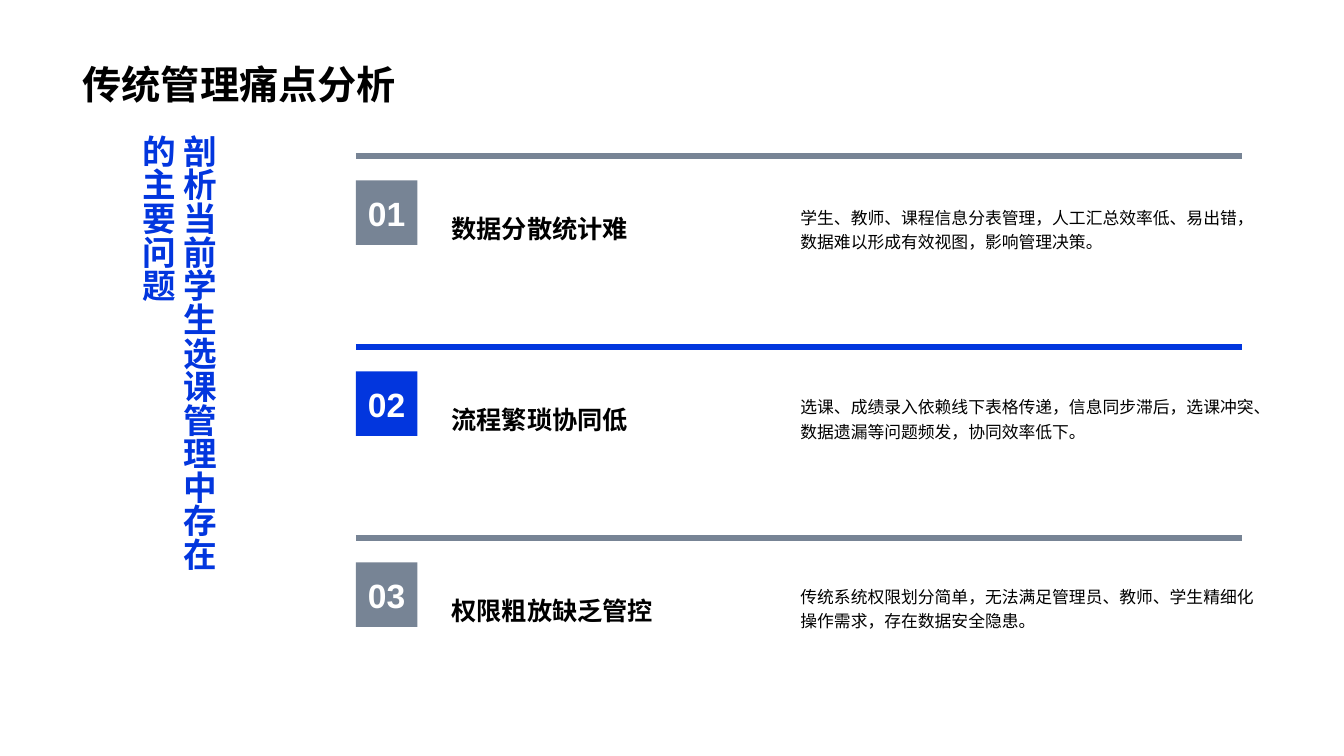
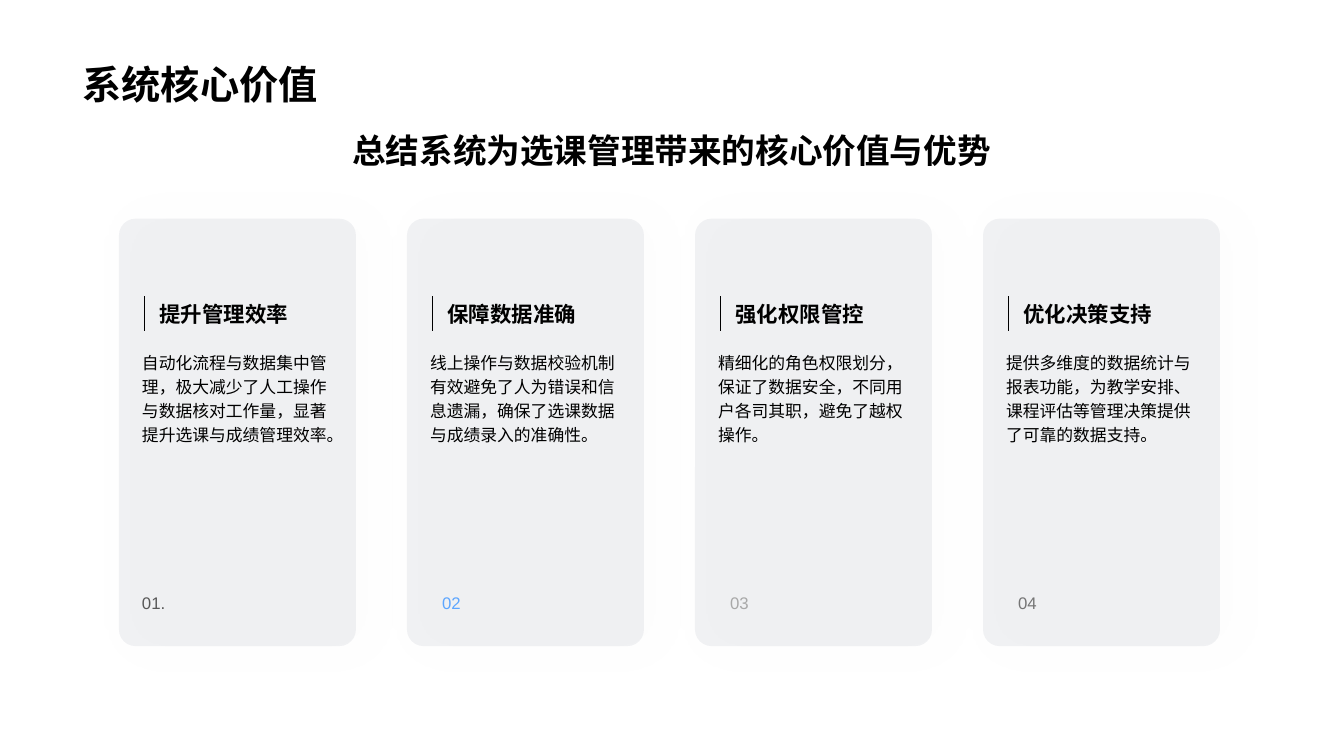
"""Build two slides on course-selection management: pain points and core value."""
from dataclasses import dataclass

import pptx
import pptx.dml.color
import pptx.enum.lang
import pptx.enum.shapes
import pptx.enum.text
import pptx.oxml
import pptx.oxml.ns
import pptx.util
from lxml import etree

Inches = pptx.util.Inches
Align = pptx.enum.text.PP_ALIGN
Anchor = pptx.enum.text.MSO_ANCHOR
Shapes = pptx.enum.shapes.MSO_SHAPE
qn = pptx.oxml.ns.qn


@dataclass(frozen=True)
class Theme:
    """Colours, font and type sizes shared by the slides."""
    font: str = "Arial"
    black: str = "000000"
    white: str = "FFFFFF"
    grey: str = "778495"
    blue: str = "0236DE"
    shadow: str = "A6A6A6"
    title: float = 28
    heading: float = 24
    item: float = 18
    card_title: float = 15.3
    body: float = 12
    body_spacing: float = 1.2
    rule: float = 4.5
    hairline: float = 0.75


THEME = Theme()

PAIN_TITLE = "传统管理痛点分析"
PAIN_SUBTITLE = "剖析当前学生选课管理中存在的主要问题"
PAIN_POINTS = [
    ("01", "数据分散统计难", THEME.grey,
     "学生、教师、课程信息分表管理，人工汇总效率低、易出错，数据难以形成有效视图，影响管理决策。"),
    ("02", "流程繁琐协同低", THEME.blue,
     "选课、成绩录入依赖线下表格传递，信息同步滞后，选课冲突、数据遗漏等问题频发，协同效率低下。"),
    ("03", "权限粗放缺乏管控", THEME.grey,
     "传统系统权限划分简单，无法满足管理员、教师、学生精细化操作需求，存在数据安全隐患。"),
]

VALUE_TITLE = "系统核心价值"
VALUE_SUBTITLE = "总结系统为选课管理带来的核心价值与优势"
VALUES = [
    ("01.", "585858", 0.13, "提升管理效率",
     "自动化流程与数据集中管理，极大减少了人工操作与数据核对工作量，显著提升选课与成绩管理效率。"),
    ("02", "5DA6FF", 0.25, "保障数据准确",
     "线上操作与数据校验机制有效避免了人为错误和信息遗漏，确保了选课数据与成绩录入的准确性。"),
    ("03", "A8A8A8", 0.25, "强化权限管控",
     "精细化的角色权限划分，保证了数据安全，不同用户各司其职，避免了越权操作。"),
    ("04", "757575", 0.25, "优化决策支持",
     "提供多维度的数据统计与报表功能，为教学安排、课程评估等管理决策提供了可靠的数据支持。"),
]


def rgb(color):
    """Turn a hex string into a colour."""
    return pptx.dml.color.RGBColor.from_string(color)


def spread(first, last, count):
    """Return evenly spaced positions from first to last."""
    return [first + (last - first) * index / (count - 1) for index in range(count)]


def write(shape, text, size, color=THEME.black, bold=False, align=Align.LEFT,
          anchor=Anchor.TOP, spacing=1.0):
    """Put one formatted paragraph into a shape."""
    frame = shape.text_frame
    frame.text = text
    frame.word_wrap = True
    frame.auto_size = pptx.enum.text.MSO_AUTO_SIZE.NONE
    frame.vertical_anchor = anchor
    paragraph = frame.paragraphs[0]
    paragraph.alignment = align
    paragraph.line_spacing = spacing
    for run in paragraph.runs:
        font = run.font
        font.size = pptx.util.Pt(size)
        font.bold = bold
        font.color.rgb = rgb(color)
        font.name = THEME.font
        font.language_id = pptx.enum.lang.MSO_LANGUAGE_ID.SIMPLIFIED_CHINESE
        etree.SubElement(run._r.get_or_add_rPr(), qn("a:ea"), typeface=THEME.font)


def add_text(slide, box, text, size, **style):
    """Add a text box at (left, top, width, height) in inches."""
    shape = slide.shapes.add_textbox(*map(Inches, box))
    write(shape, text, size, **style)
    return shape


def add_block(slide, preset, box, color):
    """Add a filled shape without outline or shadow."""
    shape = slide.shapes.add_shape(preset, *map(Inches, box))
    shape.shadow.inherit = False
    shape.fill.solid()
    shape.fill.fore_color.rgb = rgb(color)
    shape.line.fill.background()
    return shape


def add_line(slide, ends, color, width):
    """Add a straight line between two points in inches."""
    line = slide.shapes.add_connector(
        pptx.enum.shapes.MSO_CONNECTOR.STRAIGHT, *map(Inches, ends))
    line.line.color.rgb = rgb(color)
    line.line.width = pptx.util.Pt(width)
    etree.SubElement(line._element.spPr, qn("a:effectLst"))


def soften(card):
    """Make a card mostly transparent and give it a faint shadow."""
    properties = card._element.spPr
    fill_color = properties.find(qn("a:solidFill")).find(qn("a:srgbClr"))
    etree.SubElement(fill_color, qn("a:alpha"), val="10000")
    shadow = etree.SubElement(
        properties.find(qn("a:effectLst")), qn("a:outerShdw"),
        blurRad=str(pptx.util.Pt(32)), dist=str(pptx.util.Pt(8)), dir="0",
        algn="l", rotWithShape="0")
    shadow_color = etree.SubElement(shadow, qn("a:srgbClr"), val=THEME.shadow)
    etree.SubElement(shadow_color, qn("a:alpha"), val="20000")


def add_titled_slide(presentation, text):
    """Add a title-only slide with the shared title style."""
    slide = presentation.slides.add_slide(presentation.slide_layouts[5])
    title = slide.shapes.title
    title.left, title.top, title.width, title.height = map(
        Inches, (0.72, 0.14, 11.88, 0.98))
    write(title, text, THEME.title, bold=True, anchor=Anchor.BOTTOM)
    return slide


def add_pain_point(slide, top, body_top, point):
    """Add one ruled row with its number, heading and description."""
    number, heading, color, description = point
    add_line(slide, (3.53, top, 12.32, top), color, THEME.rule)
    badge = add_block(slide, Shapes.RECTANGLE, (3.53, top + 0.24, 0.61, 0.64), color)
    write(badge, number, THEME.heading, color=THEME.white, bold=True,
          align=Align.CENTER, anchor=Anchor.BOTTOM)
    frame = badge.text_frame
    frame.word_wrap = False
    frame.margin_left = frame.margin_right = Inches(0.12)
    frame.margin_top = frame.margin_bottom = Inches(0.12)
    add_text(slide, (4.38, top + 0.06, 3.46, 1.31), heading, THEME.item,
             bold=True, anchor=Anchor.MIDDLE)
    add_text(slide, (7.84, body_top, 4.71, 1.2), description, THEME.body,
             anchor=Anchor.MIDDLE, spacing=THEME.body_spacing)


def add_value_card(slide, left, value):
    """Add one card with its heading, description and number."""
    number, number_color, number_offset, heading, description = value
    card = add_block(slide, Shapes.ROUNDED_RECTANGLE, (left, 2.17, 2.35, 4.24), THEME.grey)
    card.adjustments[0] = 0.07
    soften(card)
    add_text(slide, (left + 0.13, 3.41, 2.18, 2.34), description, THEME.body,
             spacing=THEME.body_spacing)
    add_text(slide, (left + 0.3, 2.94, 2.01, 0.3), heading, THEME.card_title, bold=True)
    add_line(slide, (left + 0.25, 2.94, left + 0.25, 3.28), THEME.black, THEME.hairline)
    add_text(slide, (left + number_offset, 5.79, 0.6, 0.4), number, THEME.body,
             color=number_color, spacing=THEME.body_spacing)


def build_pain_slide(presentation):
    """Build the slide of three pain points."""
    slide = add_titled_slide(presentation, PAIN_TITLE)
    subtitle = add_text(slide, (0.72, 1.24, 1.5, 4.81), PAIN_SUBTITLE, THEME.heading,
                        color=THEME.blue, bold=True)
    subtitle.text_frame._txBody.bodyPr.set("vert", "eaVert")
    count = len(PAIN_POINTS)
    for row in zip(spread(1.55, 5.34, count), spread(1.66, 5.42, count), PAIN_POINTS):
        add_pain_point(slide, *row)


def build_value_slide(presentation):
    """Build the slide of four value cards."""
    slide = add_titled_slide(presentation, VALUE_TITLE)
    add_text(slide, (0.72, 1.24, 11.88, 0.69), VALUE_SUBTITLE, THEME.heading,
             bold=True, align=Align.CENTER)
    for left, value in zip(spread(1.18, 9.75, len(VALUES)), VALUES):
        add_value_card(slide, left, value)


def main():
    """Build and save the presentation."""
    presentation = pptx.Presentation()
    presentation.slide_width = Inches(13.33)
    presentation.slide_height = Inches(7.5)
    build_pain_slide(presentation)
    build_value_slide(presentation)
    presentation.save("out.pptx")


if __name__ == "__main__":
    main()
